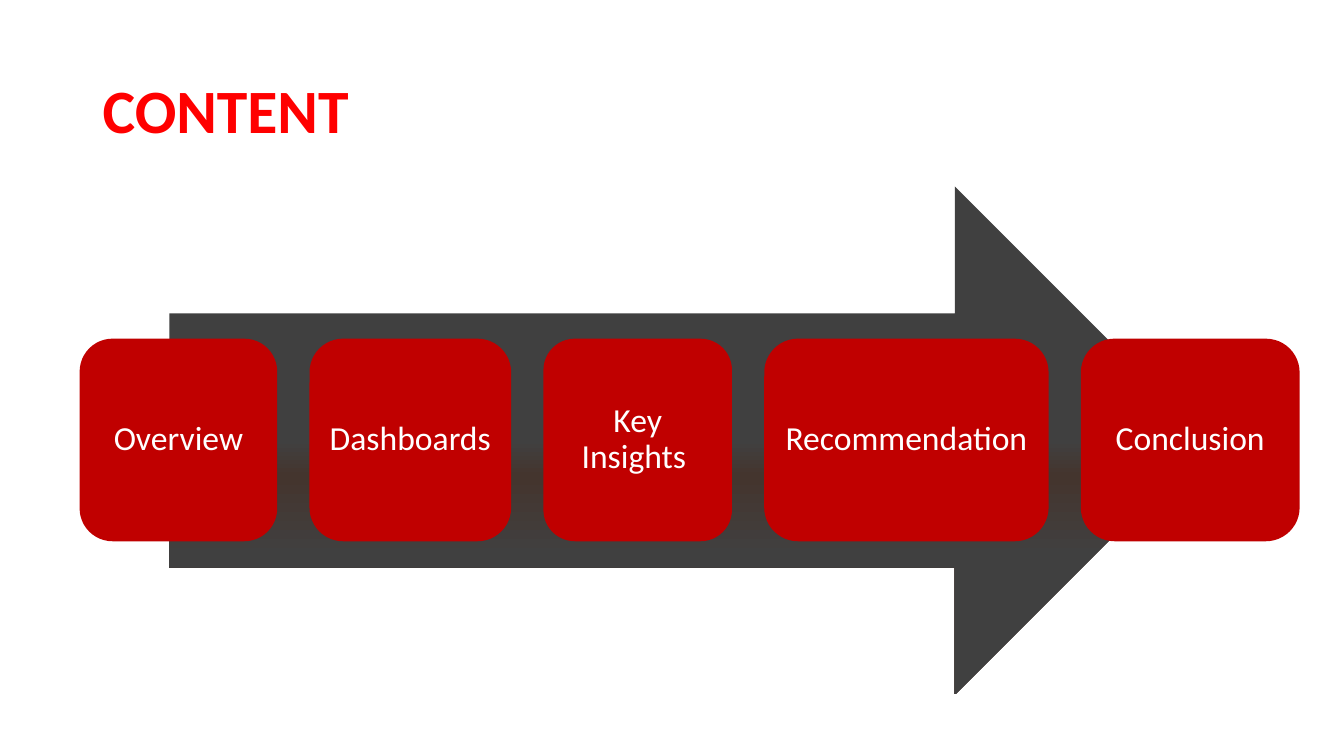
from lxml.etree import SubElement as Sub
from pptx import Presentation
from pptx.dml.color import RGBColor as RGB
from pptx.enum.shapes import MSO_SHAPE as Shape
from pptx.enum.text import MSO_ANCHOR as Anchor, PP_ALIGN as Align
from pptx.oxml.ns import qn
from pptx.util import Inches, Pt

TITLE = "CONTENT"
STEPS = [  # label, width
    ("Overview", 1.96),
    ("Dashboards", 2.0),
    ("Key Insights ", 1.87),
    ("Recommendation", 2.82),
    ("Conclusion", 2.17),
]
LEFT, TOP, HIGH, GAP = 0.79, 3.36, 2.01, 0.32
ARROW = (1.68, 1.85, 10.31, 5.04)
HEAD = (0.92, 0.4, 11.5, 1.45)

THEME = {
    "font": "Calibri",
    "card": "C00000",
    "title": {"size": Pt(44), "bold": True, "color": "FF0000"},
    "label": {"size": Pt(24), "bold": False, "color": "FFFFFF"},
    "fade": [(24, "404040"), (50, "404040"), (57, "44352E"),
             (73, "404040"), (88, "404040"), (100, "404040")],
}


def write(shape, text, style, align, inset):
    frame = shape.text_frame
    layout = {"word_wrap": True, "vertical_anchor": Anchor.MIDDLE,
              "margin_left": Inches(inset), "margin_right": Inches(inset)}
    for name, value in layout.items():
        setattr(frame, name, value)
    para = frame.paragraphs[0]
    para.alignment, para.line_spacing = align, 0.9
    run = para.add_run()
    run.text = text
    for name, value in {"name": THEME["font"], "size": style["size"],
                        "bold": style["bold"]}.items():
        setattr(run.font, name, value)
    run.font.color.rgb = RGB.from_string(style["color"])


def draw(slide, kind, box):
    """Add a preset shape without line or shadow."""
    shape = slide.shapes.add_shape(kind, *map(Inches, box))
    shape.shadow.inherit = False
    shape.line.fill.background()
    return shape


def fade(shape, stops):
    """Fill from top to bottom through the given (percent, colour) stops."""
    shape.fill.gradient()
    shape.fill.gradient_angle = 270
    group = shape.element.spPr.find(".//" + qn("a:gsLst"))
    for old in list(group):
        group.remove(old)
    for at, color in stops:
        stop = Sub(group, qn("a:gs"), pos=str(at * 1000))
        Sub(stop, qn("a:srgbClr"), val=color)


def main():
    deck = Presentation()
    deck.slide_width, deck.slide_height = Inches(13.33), Inches(7.5)
    slide = deck.slides.add_slide(deck.slide_layouts[6])

    title = slide.shapes.add_textbox(*map(Inches, HEAD))
    write(title, TITLE, THEME["title"], Align.LEFT, 0.1)

    fade(draw(slide, Shape.RIGHT_ARROW, ARROW), THEME["fade"])

    left = LEFT
    for label, width in STEPS:
        card = draw(slide, Shape.ROUNDED_RECTANGLE, (left, TOP, width, HIGH))
        card.fill.solid()
        card.fill.fore_color.rgb = RGB.from_string(THEME["card"])
        write(card, label, THEME["label"], Align.CENTER, 0.09)
        left += width + GAP

    deck.save("out.pptx")


if __name__ == "__main__":
    main()
